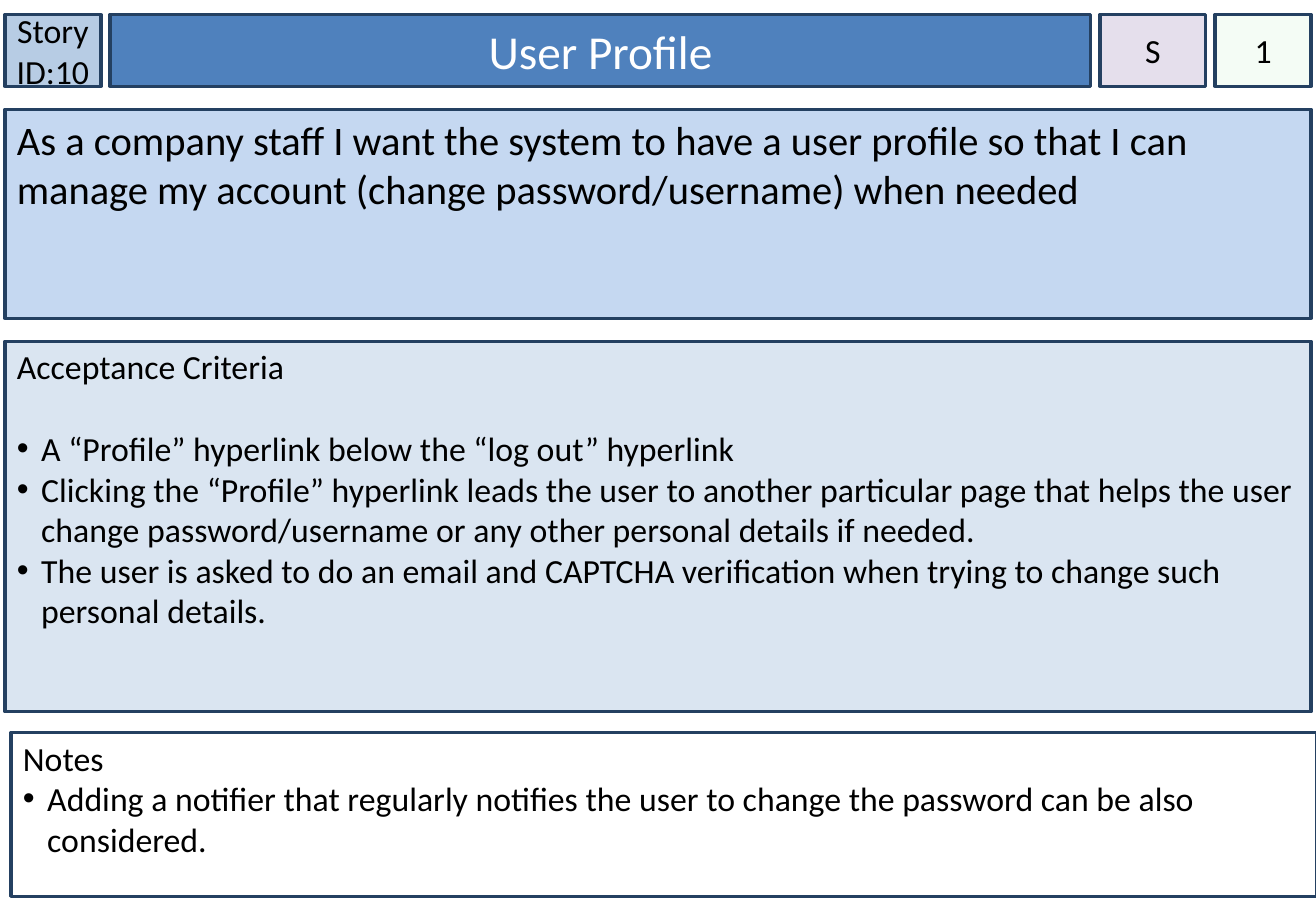
from lxml.etree import SubElement
from pptx import Presentation
from pptx.dml.color import RGBColor
from pptx.enum.shapes import MSO_SHAPE as Shape
from pptx.enum.text import MSO_ANCHOR as Anchor, PP_ALIGN as Align
from pptx.oxml.ns import qn
from pptx.util import Inches, Pt

SLIDE_W, SLIDE_H = 10.83, 7.5
LEFT, CARD_W = 0.04, 10.75
NAVY = RGBColor(0x24, 0x40, 0x61)
BLACK = RGBColor(0, 0, 0)
WHITE = RGBColor(0xFF, 0xFF, 0xFF)
ID_BLUE = RGBColor(0xB7, 0xCC, 0xE4)
TITLE_BLUE = RGBColor(0x4F, 0x81, 0xBD)
STORY_BLUE = RGBColor(0xC5, 0xD8, 0xF1)
CRITERIA_BLUE = RGBColor(0xDA, 0xE5, 0xF1)
SIZE_LILAC = RGBColor(0xE5, 0xDF, 0xEC)
PRIORITY_GREEN = RGBColor(0xCC, 0xF0, 0xCD)

STORY = ("As a company staff I want the system to have a user profile so that I can "
         "manage my account (change password/username) when needed")
CRITERIA = [
    "A “Profile” hyperlink below the “log out” hyperlink",
    "Clicking the “Profile” hyperlink leads the user to another particular page that helps "
    "the user change password/username or any other personal details if needed.",
    "The user is asked to do an email and CAPTCHA verification when trying to change such "
    "personal details.",
]
NOTES = ["Adding a notifier that regularly notifies the user to change the password "
         "can be also considered."]


def add_panel(slide, box, fill, lines, size=20, color=BLACK, align=Align.LEFT,
              anchor=Anchor.TOP, side=0.1, top=0.05):
    """Draw a bordered rectangle with one paragraph per line and return it."""
    panel = slide.shapes.add_shape(Shape.RECTANGLE, *map(Inches, box))
    panel.shadow.inherit = False
    panel.fill.solid()
    panel.fill.fore_color.rgb = fill
    panel.line.color.rgb = NAVY
    panel.line.width = Pt(2)
    frame = panel.text_frame
    frame.word_wrap = True
    frame.vertical_anchor = anchor
    frame.margin_left = frame.margin_right = Inches(side)
    frame.margin_top, frame.margin_bottom = Inches(top), Inches(0.05)
    frame.text = "\n".join(lines)
    for paragraph in frame.paragraphs:
        paragraph.alignment = align
        for run in paragraph.runs:
            run.font.name = "Calibri"
            run.font.size = Pt(size)
            run.font.color.rgb = color
    return panel


def make_bullet(paragraph):
    """Give a paragraph a hanging round bullet."""
    properties = paragraph._p.get_or_add_pPr()
    properties.set("marL", str(Inches(0.2)))
    properties.set("indent", str(-Inches(0.2)))
    SubElement(properties, qn("a:buFont")).set("typeface", "Arial")
    SubElement(properties, qn("a:buChar")).set("char", "•")


def add_header(slide, box):
    """Lay the story ID, title, size and priority tiles in a row with equal gaps."""
    left, top, width, height = box
    tiles = [
        ("Story ID:10", 0.79, ID_BLUE, 20, BLACK, 0),
        ("User Profile", 8.07, TITLE_BLUE, 28, WHITE, 0.1),
        ("S", 0.87, SIZE_LILAC, 20, BLACK, 0),
        ("1", 0.79, PRIORITY_GREEN, 20, BLACK, 0),
    ]
    gap = (width - sum(tile[1] for tile in tiles)) / (len(tiles) - 1)
    for label, tile_width, fill, size, color, side in tiles:
        tile = add_panel(slide, (left, top, tile_width, height), fill, [label], size, color,
                         Align.CENTER, Anchor.MIDDLE, side)
        left += tile_width + gap
    priority_color = tile.fill._xPr.find(qn("a:solidFill"))[0]
    SubElement(priority_color, qn("a:alpha")).set("val", "20000")


def add_list_panel(slide, box, fill, heading, items, gap=0):
    """Draw a panel with a heading above bulleted items, gap points apart."""
    panel = add_panel(slide, box, fill, [heading, *items], top=0.04)
    first, *bullets = panel.text_frame.paragraphs
    first.space_after = Pt(gap)
    for bullet in bullets:
        make_bullet(bullet)


def main():
    """Build the user story card."""
    deck = Presentation()
    deck.slide_width, deck.slide_height = Inches(SLIDE_W), Inches(SLIDE_H)
    slide = deck.slides.add_slide(deck.slide_layouts[6])
    add_header(slide, (LEFT, 0.12, CARD_W, 0.59))
    add_panel(slide, (LEFT, 0.9, CARD_W, 1.72), STORY_BLUE, [STORY], size=24)
    add_list_panel(slide, (LEFT, 2.81, CARD_W, 3.05), CRITERIA_BLUE,
                   "Acceptance Criteria", CRITERIA, gap=24.4)
    add_list_panel(slide, (LEFT + 0.05, 6.03, CARD_W, 1.35), WHITE, "Notes", NOTES)
    deck.save("out.pptx")


if __name__ == "__main__":
    main()
